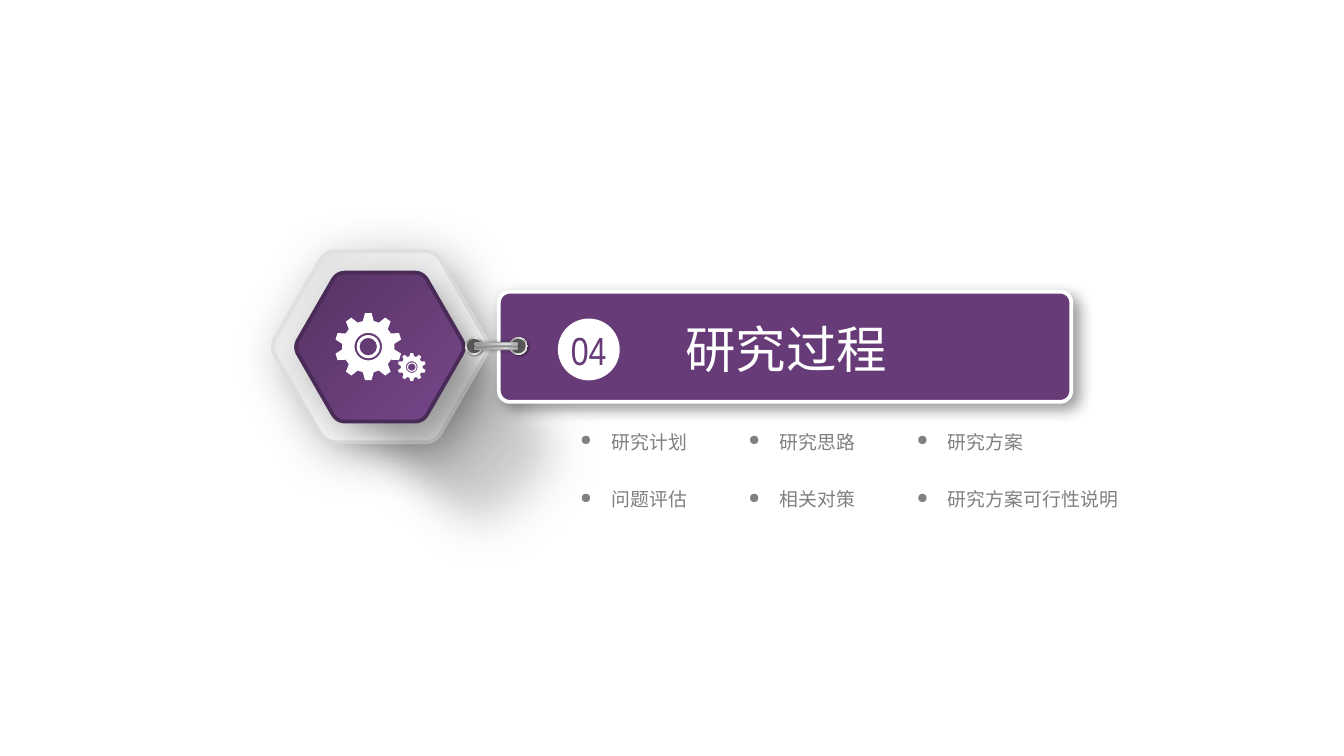
from dataclasses import dataclass
from math import cos, pi, sin

from pptx import Presentation
from pptx.dml.color import RGBColor as Rgb
from pptx.enum.shapes import MSO_SHAPE as Kind
from pptx.enum.text import MSO_ANCHOR as Anchor, MSO_AUTO_SIZE as Auto, PP_ALIGN as Align
from pptx.oxml import parse_xml
from pptx.oxml.ns import nsdecls, qn
from pptx.util import Emu, Inches, Pt


@dataclass(frozen=True)
class Theme:
    """Colours, fonts, type sizes and effects of the slide."""
    main: str = "663B77"
    white: str = "FFFFFF"
    gray: str = "808080"
    dark: str = "595959"
    rim: str = "E0E0E0"
    edge: str = "4A2A57"
    wire: str = "A6A6A6"
    shell: tuple = ((0, "FFFFFF"), (73, "ECECEC"), (100, "D9D9D9"))
    core: tuple = ((0, "77468A"), (100, "553363"))
    haze: tuple = ((0, "000000", 61), (37, "6C6C6C", 50), (100, "D8D8D8", 0))
    steel: tuple = ((0, "FFFFFF"), (17, "A6A6A6"), (35, "F2F2F2"),
                    (55, "A6A6A6"), (75, "F2F2F2"), (100, "A6A6A6"))
    rod: tuple = ((0, "808080"), (23, "A6A6A6"), (52, "D9D9D9"),
                  (74, "FFFFFF"), (100, "A6A6A6"))
    sans: str = "Noto Sans CJK SC"
    slim: str = "Arial Narrow"
    head: float = 27
    num: float = 21
    body: float = 10.13


T = Theme()
PAGE = (0, 0, 10, 10 * 9 / 16)
ITEMS = (("研究计划", "研究思路", "研究方案"),
         ("问题评估", "相关对策", "研究方案可行性说明"))


def cut(box, x, y, w, h):
    """Return a part of a box, given in per cent of its size."""
    left, top, wide, high = box
    return (left + wide * x / 100, top + high * y / 100,
            wide * w / 100, high * h / 100)


def blend(stops, turn):
    """Return a linear gradient element."""
    marks = "".join(
        f'<a:gs pos="{pos * 1000}"><a:srgbClr val="{hue}">'
        f'<a:alpha val="{(rest[0] if rest else 100) * 1000}"/></a:srgbClr></a:gs>'
        for pos, hue, *rest in stops)
    return parse_xml(f'<a:gradFill {nsdecls("a")} rotWithShape="1"><a:gsLst>{marks}'
                     f'</a:gsLst><a:lin ang="{turn * 60000}" scaled="0"/></a:gradFill>')


def paint(shape, fill, line=None, shade=None, soft=0, turn=45):
    """Set the fill, line, shadow and soft edge of a shape."""
    props = shape._element.spPr
    if isinstance(fill, str):
        shape.fill.solid()
        shape.fill.fore_color.rgb = Rgb.from_string(fill)
    else:
        shape.fill.gradient()
        old = props.find(qn("a:gradFill"))
        props.replace(old, blend(fill, turn))
    if line:
        shape.line.color.rgb = Rgb.from_string(line[0])
        shape.line.width = Pt(line[1])
    else:
        shape.line.fill.background()
    shape.shadow.inherit = False
    list_ = props.find(qn("a:effectLst"))
    if shade:
        alpha, blur, dist, way = shade
        list_.append(parse_xml(
            f'<a:outerShdw {nsdecls("a")} blurRad="{Pt(blur)}" dist="{Pt(dist)}" '
            f'dir="{way * 60000}" algn="ctr" rotWithShape="0"><a:srgbClr val="000000">'
            f'<a:alpha val="{alpha * 1000}"/></a:srgbClr></a:outerShdw>'))
    if soft:
        list_.append(parse_xml(f'<a:softEdge {nsdecls("a")} rad="{Pt(soft)}"/>'))
    return shape


def add(page, kind, box, fill, adj=None, **look):
    """Add a painted preset shape."""
    shape = page.shapes.add_shape(kind, *map(Inches, box))
    if adj is not None:
        shape.adjustments[0] = adj
    return paint(shape, fill, **look)


def trace(page, loops, fill, **look):
    """Add a painted outline made of closed loops of points."""
    loops = [[(Inches(x), Inches(y)) for x, y in loop] for loop in loops]
    pen = page.shapes.build_freeform(*loops[0][0], scale=1.0)
    for i, loop in enumerate(loops):
        if i:
            pen.move_to(*loop[0])
        pen.add_line_segments(loop[1:], close=True)
    return paint(pen.convert_to_shape(Emu(0), Emu(0)), fill, **look)


def write(shape, words, size=T.body, hue=T.gray, font=T.sans,
          align=Align.LEFT, pad=0, wrap=True, dot=None):
    """Put formatted text in a shape."""
    frame = shape.text_frame
    frame.auto_size, frame.word_wrap = Auto.NONE, wrap
    frame.vertical_anchor = Anchor.MIDDLE
    frame.margin_left = frame.margin_right = Inches(pad)
    frame.margin_top = frame.margin_bottom = 0
    para = frame.paragraphs[0]
    para.alignment = align
    run = para.add_run()
    run.text = words
    run.font.size, run.font.name, run.font.bold = Pt(size), font, False
    run.font.color.rgb = Rgb.from_string(hue)
    run._r.rPr.append(parse_xml(f'<a:ea {nsdecls("a")} typeface="{font}"/>'))
    if dot:
        props = para._p.get_or_add_pPr()
        props.set("marL", str(Inches(0.23)))
        props.set("indent", str(-Inches(0.23)))
        props.append(parse_xml(f'<a:buSzPct {nsdecls("a")} val="75000"/>'))
        props.append(parse_xml(f'<a:buChar {nsdecls("a")} char="{dot}"/>'))


def spin(mid, rad, turn):
    """Return the point at a radius and an angle around a middle."""
    return mid[0] + rad * cos(turn), mid[1] + rad * sin(turn)


def center(box):
    """Return the middle of a box."""
    return box[0] + box[2] / 2, box[1] + box[3] / 2


def hexa(page, box, fill, **look):
    """Draw a hexagon with round corners."""
    tips = [spin(center(box), box[2] / 1.95, i * pi / 3) for i in range(6)]
    loop = []
    for i, tip in enumerate(tips):
        last, nex = tips[i - 1], tips[(i + 1) % 6]
        for t in (k / 8 for k in range(9)):
            back, fore = 0.1 * (1 - t) ** 2, 0.1 * t ** 2
            loop.append(tuple(c + back * (a - c) + fore * (b - c)
                              for a, c, b in zip(last, tip, nex)))
    trace(page, [loop], fill, **look).rotation = 180


def gear(page, box):
    """Draw a gear of ten teeth with a ring in its hole."""
    mid, rad = center(box), box[2] / 2
    tooth = ((-0.21, 0.78), (-0.1, 1), (0.1, 1), (0.21, 0.78))
    rim = [spin(mid, rad * far, i * pi / 5 - pi / 2 + off)
           for i in range(10) for off, far in tooth]
    hole = [spin(mid, rad * 0.41, -i * pi / 24) for i in range(48)]
    trace(page, [rim, hole], T.white)
    add(page, Kind.DONUT, cut(box, 32.75, 32.75, 34.5, 34.5), T.white, adj=0.12)


def badge(page, box):
    """Draw the layered hexagon with its long shadows and gears."""
    layers = (((-8.1, 15.5, 176.9, 137.3), 25, (0, 0, 100, 100),
               T.shell, T.rim, (28, 28, 7, 45)),
              ((2.5, 26.1, 150, 110.6), 18, (10.8, 11.2, 78, 78),
               T.core, T.edge, (25, 20, 9, 45)))
    for far, soft, near, fill, rim, shade in layers:
        cast = add(page, Kind.ROUNDED_RECTANGLE, cut(box, *far), T.haze,
                   adj=0.5, soft=soft, turn=0)
        cast.rotation = 46
        hexa(page, cut(box, *near), fill, line=(rim, 2), shade=shade)
    gear(page, cut(box, 58.1, 53.5, 13.1, 14.4))
    gear(page, cut(box, 28.8, 32.4, 31.2, 35.2))


def link(page, box):
    """Draw the two eyes and the rods that join them."""
    for x in (71.7, 0):
        eye = cut(box, x, 0, 28.3, 100)
        add(page, Kind.OVAL, eye, T.steel, shade=(40, 1, 1, 45))
        add(page, Kind.OVAL, cut(eye, 8, 8, 84, 84), T.dark)
    for y in (53.8, 30.8):
        add(page, Kind.ROUNDED_RECTANGLE, cut(box, 15.2, y, 69.6, 15.4), T.rod,
            adj=0.5, line=(T.wire, 0.75), shade=(40, 2, 0, 0), turn=0)


def banner(page, box):
    """Draw the bar with its number and the slide title."""
    add(page, Kind.ROUNDED_RECTANGLE, box, T.main, adj=0.1,
        line=(T.white, 2), shade=(40, 8, 4, 45))
    disc = add(page, Kind.OVAL, cut(box, 10.3, 24.4, 10.8, 56.1), T.white)
    write(disc, "04", size=T.num, hue=T.main, font=T.slim,
          align=Align.CENTER, wrap=False)
    title = page.shapes.title
    title.left, title.top, title.width, title.height = map(
        Inches, cut(box, 16.4, 17.1, 67.6, 68.3))
    write(title, "研究过程", size=T.head, hue=T.white, align=Align.CENTER)
    page.shapes._spTree.append(title._element)


def topics(page, box):
    """Set the bulleted topics on a grid."""
    wide, high = 100 / len(ITEMS[0]), 100 / len(ITEMS)
    for r, row in enumerate(ITEMS):
        for c, words in enumerate(row):
            cell = cut(box, c * wide, r * high, wide, high)
            spot = cut(cell, 0, 0, 35.4 + 11.4 * len(words), 63)
            note = page.shapes.add_textbox(*map(Inches, spot))
            write(note, words, pad=0.1, wrap=False, dot="●")


def main():
    """Build the section slide and save it."""
    deck = Presentation()
    deck.slide_width, deck.slide_height = map(Inches, PAGE[2:])
    page = deck.slides.add_slide(deck.slide_layouts[5])
    badge(page, cut(PAGE, 20.3, 33.24, 16, 25.24))
    banner(page, cut(PAGE, 37.12, 38.58, 42.6, 14.58))
    link(page, cut(PAGE, 34.62, 44.62, 4.6, 2.31))
    topics(page, cut(PAGE, 42.2, 56, 37.55, 15.3))
    deck.save("out.pptx")


if __name__ == "__main__":
    main()
